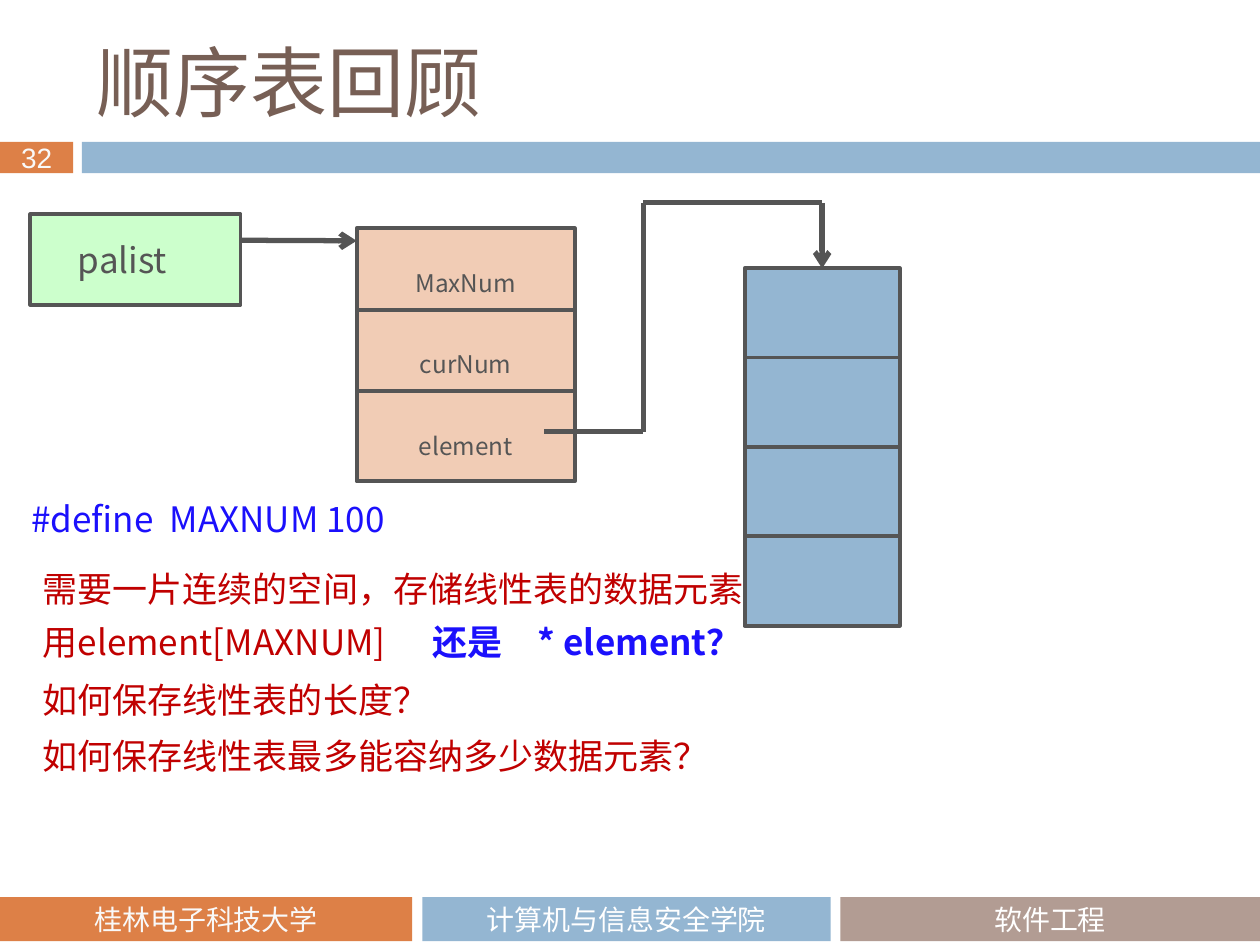
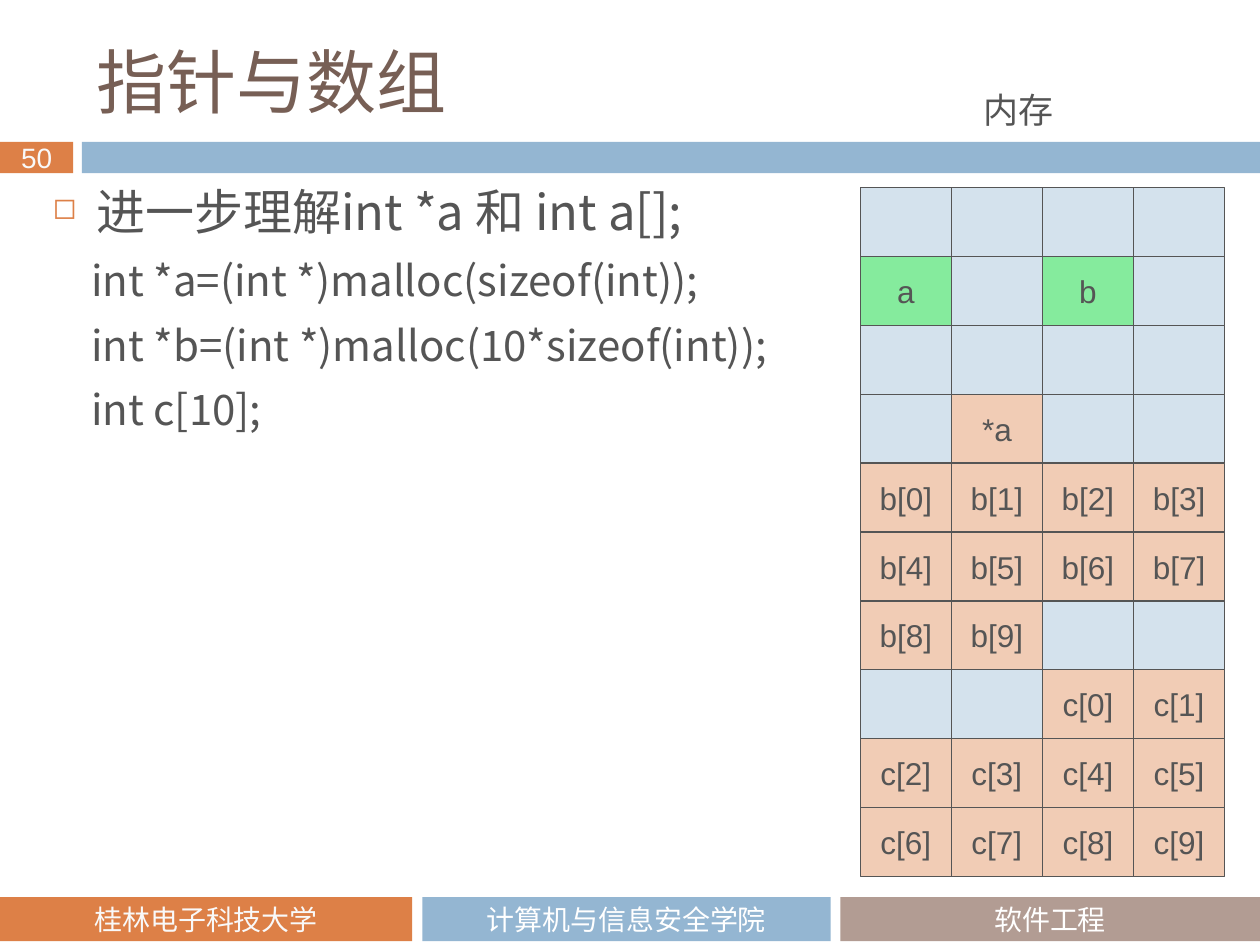
from dataclasses import dataclass
from lxml.etree import SubElement
from pptx import Presentation
from pptx.dml.color import RGBColor
from pptx.enum.shapes import MSO_CONNECTOR, MSO_SHAPE
from pptx.enum.text import MSO_ANCHOR, MSO_AUTO_SIZE, PP_ALIGN
from pptx.oxml.ns import qn
from pptx.util import Pt


@dataclass(frozen=True)
class Theme:
    orange: str = "DD8047"
    blue: str = "94B6D2"
    taupe: str = "B29C93"
    title: str = "775F55"
    ink: str = "555555"
    white: str = "FFFFFF"
    off_white: str = "F9F9F9"
    peach: str = "F1CCB5"
    mint: str = "CCFFCC"
    green: str = "85EB9D"
    pale_blue: str = "D4E2ED"
    red: str = "C00000"
    vivid_blue: str = "1B10FC"
    sans: str = "Noto Sans CJK SC"
    title_font: str = "Noto Sans CJK JP"
    band_font: str = "Cabin"
    number_font: str = "Arial"
    band_size: int = 16
    cell_size: int = 18
    text_size: int = 20
    code_size: int = 24
    lead_size: int = 28


T = Theme()


def rgb(color):
    return RGBColor.from_string(color)


def write(p, text, size=T.text_size, color=T.ink, font=T.sans, bold=None,
          baseline=None, align=None, leading=None, before=None, tabs=()):
    r = p.add_run()
    r.text = text
    r.font.size = Pt(size)
    r.font.color.rgb = rgb(color)
    r.font.name = font
    r.font.bold = bold
    rPr = r._r.get_or_add_rPr()
    east_asian = T.title_font if font == T.title_font else T.sans
    SubElement(rPr, qn("a:ea"), typeface=east_asian)
    if baseline:
        rPr.set("baseline", str(baseline * 1000))
    if align is not None:
        p.alignment = align
    if leading:
        p.line_spacing = Pt(leading)
    if before:
        p.space_before = Pt(before)
    if tabs:
        tab_list = SubElement(p._p.get_or_add_pPr(), qn("a:tabLst"))
        for stop in tabs:
            SubElement(tab_list, qn("a:tab"), pos=str(Pt(stop)), algn="l")
    return r


def indent(p, margin, hanging=0):
    pPr = p._p.get_or_add_pPr()
    pPr.set("marL", str(Pt(margin)))
    pPr.set("indent", str(Pt(-hanging)))
    return pPr


def add_box(s, x, y, w, h, fill, text="", line_width=None, inset=0,
            align=PP_ALIGN.CENTER, **fmt):
    sp = s.shapes.add_shape(MSO_SHAPE.RECTANGLE, Pt(x), Pt(y), Pt(w), Pt(h))
    sp.shadow.inherit = False
    sp.fill.solid()
    sp.fill.fore_color.rgb = rgb(fill)
    if line_width:
        sp.line.color.rgb = rgb(T.ink)
        sp.line.width = Pt(line_width)
    else:
        sp.line.fill.background()
    if text:
        tf = sp.text_frame
        tf.margin_left = Pt(inset)
        tf.margin_right = tf.margin_top = tf.margin_bottom = 0
        tf.vertical_anchor = MSO_ANCHOR.MIDDLE
        write(tf.paragraphs[0], text, align=align, **fmt)
    return sp


def add_text(s, x, y, w, h, wrap=True):
    tf = s.shapes.add_textbox(Pt(x), Pt(y), Pt(w), Pt(h)).text_frame
    tf.word_wrap = wrap
    return tf


def add_line(s, start, end, arrow=False):
    c = s.shapes.add_connector(MSO_CONNECTOR.STRAIGHT, *map(Pt, (*start, *end)))
    c.line.color.rgb = rgb(T.ink)
    c.line.width = Pt(3)
    if arrow:
        SubElement(c.line._get_or_add_ln(), qn("a:tailEnd"), type="arrow")
    SubElement(c._element.spPr, qn("a:effectLst"))
    return c


def add_bands(s, number):
    y, h = 81, 18
    add_box(s, 0, y, 41.8, h, T.orange, number, size=T.band_size,
            color=T.off_white, font=T.number_font)
    add_box(s, 46.8, y, 673.2, h, T.blue)
    for x, w, fill, text, color in (
        (0, 235.6, T.orange, "桂林电子科技大学", T.off_white),
        (241.4, 233.3, T.blue, "计算机与信息安全学院", T.white),
        (480.2, 239.8, T.taupe, "软件工程", T.white),
    ):
        add_box(s, x, 512.6, w, 25.2, fill, text, size=T.band_size,
                color=color, font=T.band_font)


def new_slide(prs, title, size, number):
    s = prs.slides.add_slide(prs.slide_layouts[5])
    sp = s.shapes.title
    sp.left, sp.top, sp.width, sp.height = map(Pt, (48.2, 18, 642.2, 56.2))
    tf = sp.text_frame
    tf.auto_size = MSO_AUTO_SIZE.NONE
    tf.vertical_anchor = MSO_ANCHOR.MIDDLE
    write(tf.paragraphs[0], title, size=size, color=T.title,
          font=T.title_font, align=PP_ALIGN.LEFT)
    add_bands(s, number)
    return s


def add_array(s, x, y, w, h, count=4):
    pitch = h / count
    cells = [add_box(s, x, y + i * pitch, w, pitch + 0.7, T.blue, line_width=2.25)
             for i in range(count)]
    return cells[0]


def add_struct(s, x, y, w):
    for text, top, h in (("element", 87.8, 56.9), ("curNum", 46.1, 46.8),
                         ("MaxNum", 0, 46.8)):
        add_box(s, x, y + top, w, h, T.peach, text, line_width=2.25,
                size=T.code_size, baseline=-25)


def add_list_diagram(s, x, y):
    array_x, array_y, array_w = x + 408.2, y + 31, 88.6
    first_cell = add_array(s, array_x, array_y, array_w, 203.6)
    add_struct(s, x + 186.5, y + 8, 124.6)
    add_line(s, (x + 98.6, y + 14.8), (x + 186.5, y + 15.2), arrow=True)
    add_box(s, x, y, 120.2, 51.8, T.mint, "palist", line_width=2.25,
            inset=27.2, align=PP_ALIGN.LEFT)
    bend_x, top_y, field_y = x + 350.3, y - 6.5, y + 124.2
    middle = array_x + array_w / 2
    route = [(x + 293.8, field_y), (bend_x, field_y), (bend_x, top_y),
             (middle, top_y)]
    for start, end in zip(route, route[1:]):
        add_line(s, start, end)
    pointer = add_line(s, route[-1], (middle, array_y), arrow=True)
    pointer.end_connect(first_cell, 0)


def add_questions(s, x, y, w):
    tf = add_text(s, x - 6.5, y, 254, 38.9)
    write(tf.paragraphs[0], "#define\tMAXNUM 100", color=T.vivid_blue,
          leading=25, before=7, tabs=(79,))
    choice = "用element[MAXNUM]\t"
    for text, top in (
        ("需要一片连续的空间，存储线性表的数据元素", 41),
        (choice, 71.3),
        ("如何保存线性表的长度？", 104.4),
        ("如何保存线性表最多能容纳多少数据元素？", 136.1),
    ):
        p = add_text(s, x, y + top, w, 31.7).paragraphs[0]
        write(p, text, color=T.red, tabs=(223, 283) if text == choice else ())
        if text == choice:
            write(p, "还是\t* element？", color=T.vivid_blue, bold=True)


def add_code(s, x, y, w, h):
    tf = add_text(s, x, y, w, h)
    p = tf.paragraphs[0]
    write(p, "进一步理解int *a 和 int a[];", size=T.lead_size, leading=30, before=7)
    pPr = indent(p, 25.2, 25.2)
    SubElement(SubElement(pPr, qn("a:buClr")), qn("a:srgbClr"), val=T.orange)
    SubElement(pPr, qn("a:buSzPct"), val="60000")
    SubElement(pPr, qn("a:buChar"), char="◻")
    for code in ("int *a=(int *)malloc(sizeof(int));",
                 "int *b=(int *)malloc(10*sizeof(int));",
                 "int c[10];"):
        p = tf.add_paragraph()
        write(p, code, size=T.code_size, leading=30, before=7)
        indent(p, 22)


def add_memory(s, x, y, w, h, rows=10, cols=4):
    tf = add_text(s, x + 63.4, y - 60.5, 54.7, 31.7, wrap=False)
    write(tf.paragraphs[0], "内存")
    labels = {4: "a", 6: "b", 13: "*a"}
    for i in range(10):
        labels[16 + i] = f"b[{i}]"
        labels[30 + i] = f"c[{i}]"
    cell_w, cell_h = w / cols, h / rows
    for i in range(rows * cols):
        row, col = divmod(i, cols)
        text = labels.get(i, "")
        fill = T.green if text in ("a", "b") else T.peach if text else T.pale_blue
        add_box(s, x + col * cell_w, y + row * cell_h, cell_w, cell_h, fill, text,
                line_width=0.75, size=T.cell_size, font=T.number_font)


def main():
    prs = Presentation()
    prs.slide_width, prs.slide_height = Pt(720), Pt(540)

    s = new_slide(prs, "顺序表回顾", 44, "32")
    add_list_diagram(s, 17.3, 122.4)
    add_questions(s, 17.3, 280, 427.7)

    s = new_slide(prs, "指针与数组", 40, "50")
    add_code(s, 23, 103.7, 442, 242.6)
    add_memory(s, 491.6, 107.3, 208.2, 393.5)

    prs.save("out.pptx")


if __name__ == "__main__":
    main()
